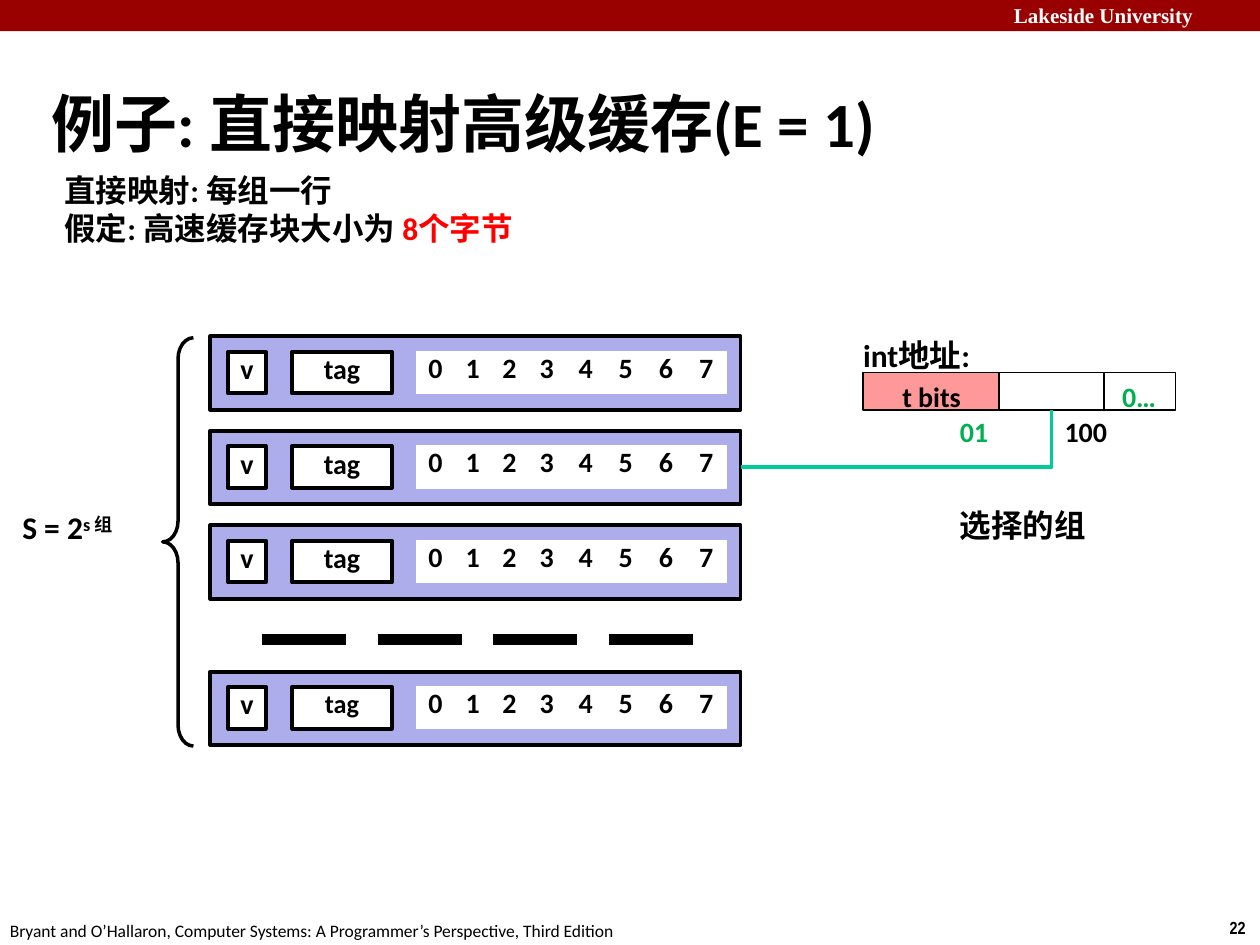
from dataclasses import dataclass

from lxml import etree
from pptx import Presentation
from pptx import util as u
from pptx.dml.color import RGBColor
from pptx.enum import dml, shapes, text
from pptx.oxml.ns import qn


@dataclass(frozen=True)
class Theme:
    font: str = "Calibri"
    header_font: str = "Times New Roman"
    number_font: str = "Arial Narrow"
    ink: str = "000000"
    paper: str = "FFFFFF"
    banner: str = "990000"
    cache_line: str = "ADADEB"
    tag_field: str = "FF9999"
    alert: str = "FF0000"
    index: str = "00B050"
    selection: str = "00CC99"
    title: float = 36
    body: float = 18
    label: float = 16
    small_label: float = 15
    header: float = 12
    footer: float = 10


THEME = Theme()
DEFAULT_INSETS = (0.25, 0.13, 0.25, 0.13)


def add_run(paragraph, content, font=THEME.font, size=THEME.body, color=THEME.ink,
            bold=True, raised=False):
    run = paragraph.add_run()
    run.text = content
    run.font.name = font
    run.font.size = u.Pt(size)
    run.font.bold = bold
    run.font.color.rgb = RGBColor.from_string(color)
    if raised:
        run.font._element.set("baseline", "25000")


class CacheSlide:
    """Draw the elements of a cache diagram on one slide in a shared theme."""

    def __init__(self, slide, theme):
        self.slide = slide
        self.theme = theme

    def outline(self, shape, color, width):
        shape.line.color.rgb = RGBColor.from_string(color)
        shape.line.width = u.Pt(width)

    def set_insets(self, frame, insets):
        (frame.margin_left, frame.margin_top,
         frame.margin_right, frame.margin_bottom) = map(u.Cm, insets)

    def rect(self, left, top, width, height, fill=None, border=2.25,
             label=None, kind=shapes.MSO_SHAPE.RECTANGLE, **style):
        box = self.slide.shapes.add_shape(kind, *map(u.Cm, (left, top, width, height)))
        box.shadow.inherit = False
        if fill:
            box.fill.solid()
            box.fill.fore_color.rgb = RGBColor.from_string(fill)
        else:
            box.fill.background()
        if border:
            self.outline(box, self.theme.ink, border)
        else:
            box.line.fill.background()
        if label:
            frame = box.text_frame
            self.set_insets(frame, (0, 0, 0, 0))
            frame.vertical_anchor = text.MSO_ANCHOR.TOP
            frame.paragraphs[0].alignment = text.PP_ALIGN.CENTER
            add_run(frame.paragraphs[0], label, **style)
        return box

    def text(self, left, top, width, height, *lines, insets=(0, 0, 0, 0),
             anchor=text.MSO_ANCHOR.TOP, wrap=True):
        frame = self.slide.shapes.add_textbox(
            *map(u.Cm, (left, top, width, height))).text_frame
        frame.word_wrap = wrap
        frame.vertical_anchor = anchor
        self.set_insets(frame, insets)
        for number, runs in enumerate(lines):
            paragraph = frame.add_paragraph() if number else frame.paragraphs[0]
            for content, style in runs:
                add_run(paragraph, content, **style)

    def byte_table(self, left, top, widths, height):
        grid = self.slide.shapes.add_table(
            1, len(widths), *map(u.Cm, (left, top, sum(widths), height))).table
        grid.first_row = grid.horz_banding = False
        grid.rows[0].height = u.Cm(height)
        for byte, width in enumerate(widths):
            grid.columns[byte].width = u.Cm(width)
            cell = grid.cell(0, byte)
            self.set_insets(cell, (0, 0, 0, 0))
            cell.fill.solid()
            cell.fill.fore_color.rgb = RGBColor.from_string(self.theme.paper)
            paragraph = cell.text_frame.paragraphs[0]
            paragraph.alignment = text.PP_ALIGN.CENTER
            add_run(paragraph, str(byte), size=self.theme.label)

    def cache_line(self, top, tag_size):
        theme = self.theme
        self.rect(4.24, top, 10.69, 1.48, theme.cache_line)
        for left, width, label, size in ((4.6, 0.76, "v", theme.label),
                                         (5.89, 2.01, "tag", tag_size)):
            self.rect(left, top + 0.31, width, 0.84, theme.paper, label=label, size=size)
        self.byte_table(8.4, top + 0.31, [0.76, 0.74, 0.74, 0.76] + [0.81] * 4, 0.84)

    def dashes(self, left, right, y):
        line = self.slide.shapes.add_connector(
            shapes.MSO_CONNECTOR.STRAIGHT, *map(u.Cm, (left, y, right, y)))
        self.outline(line, self.theme.ink, 6)
        line.line.dash_style = dml.MSO_LINE.LONG_DASH
        etree.SubElement(line._element.spPr, qn("a:effectLst"))

    def route(self, start, *points):
        builder = self.slide.shapes.build_freeform(*map(u.Cm, start))
        builder.add_line_segments([tuple(map(u.Cm, point)) for point in points], close=False)
        path = builder.convert_to_shape()
        path.shadow.inherit = False
        path.fill.background()
        self.outline(path, self.theme.selection, 2)


def main():
    deck = Presentation()
    deck.slide_width, deck.slide_height = u.Cm(25.4), u.Cm(19.05)
    page = CacheSlide(deck.slides.add_slide(deck.slide_layouts[6]), THEME)

    page.rect(0, 0, 25.4, 0.63, THEME.banner, border=None)
    page.text(20.19, -0.08, 5.38, 0.76,
              [("Lakeside University", dict(font=THEME.header_font, size=THEME.header,
                                            color=THEME.paper))], insets=DEFAULT_INSETS)
    page.text(24.54, 18.36, 0.86, 0.69,
              [("22", dict(font=THEME.number_font, size=THEME.footer))],
              insets=DEFAULT_INSETS, wrap=False)
    page.text(-0.05, 18.42, 12.93, 0.69,
              [("Bryant and O’Hallaron, Computer Systems: A Programmer’s Perspective, "
                "Third Edition", dict(size=THEME.footer, bold=False))],
              insets=DEFAULT_INSETS, wrap=False)
    page.text(1.04, 0.91, 21.08, 2.34,
              [("例子: 直接映射高级缓存(E = 1)", dict(size=THEME.title))],
              insets=(0, 0.79, 0, 0), anchor=text.MSO_ANCHOR.MIDDLE)
    page.text(1.3, 3.45, 9.15, 1.55,
              [("直接映射: 每组一行", {})],
              [("假定: 高速缓存块大小为 ", {}), ("8个字节", dict(color=THEME.alert))])

    brace = page.rect(3.28, 6.81, 0.62, 8.23, border=2, kind=shapes.MSO_SHAPE.LEFT_BRACE)
    brace.adjustments[0] = 0.68
    page.text(0.45, 10.24, 2.67, 0.76, [("S = 2", {}), ("s 组", dict(raised=True))])

    set_tops = [6.78 + 1.905 * number for number in range(3)]
    for top in set_tops:
        page.cache_line(top, THEME.label)
    page.dashes(5.28, 13.97, 12.89)
    page.cache_line(13.54, THEME.small_label)

    field_left = 17.4
    for width, fill in ((2.74, THEME.tag_field), (2.11, None), (1.45, None)):
        page.rect(field_left, 7.51, width, 0.75, fill, border=1)
        field_left += width
    page.route((21.2, 8.26), (21.2, 9.42), (14.93, 9.42))

    page.text(17.4, 6.78, 4, 0.76, [("int地址:", {})])
    for left, top, bits, color in ((18.19, 7.66, "t bits", THEME.ink),
                                   (22.62, 7.66, "0…", THEME.index),
                                   (19.35, 8.35, "01", THEME.index),
                                   (21.46, 8.35, "100", THEME.ink)):
        page.text(left, top, 1.5, 0.69, [(bits, dict(size=THEME.label, color=color))])
    page.text(19.35, 10.2, 4.1, 0.76, [("选择的组", {})])

    deck.save("out.pptx")


if __name__ == "__main__":
    main()
